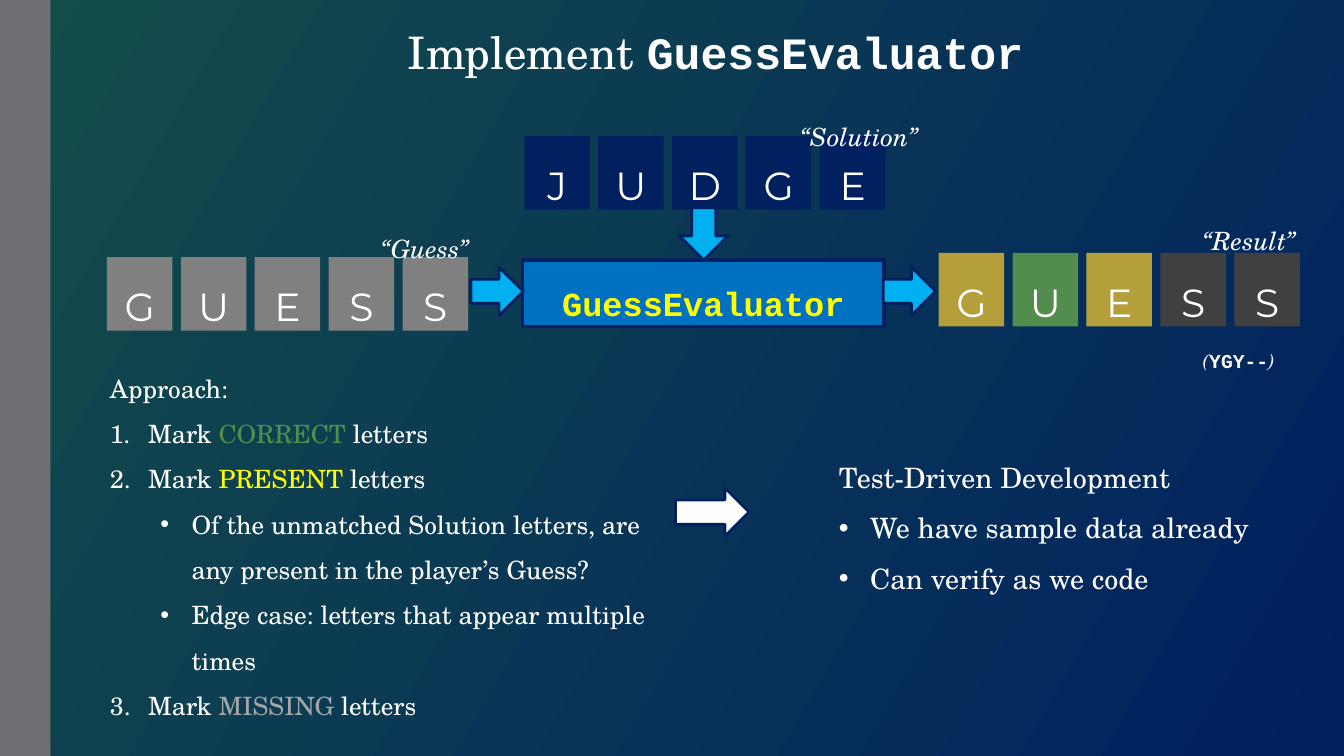
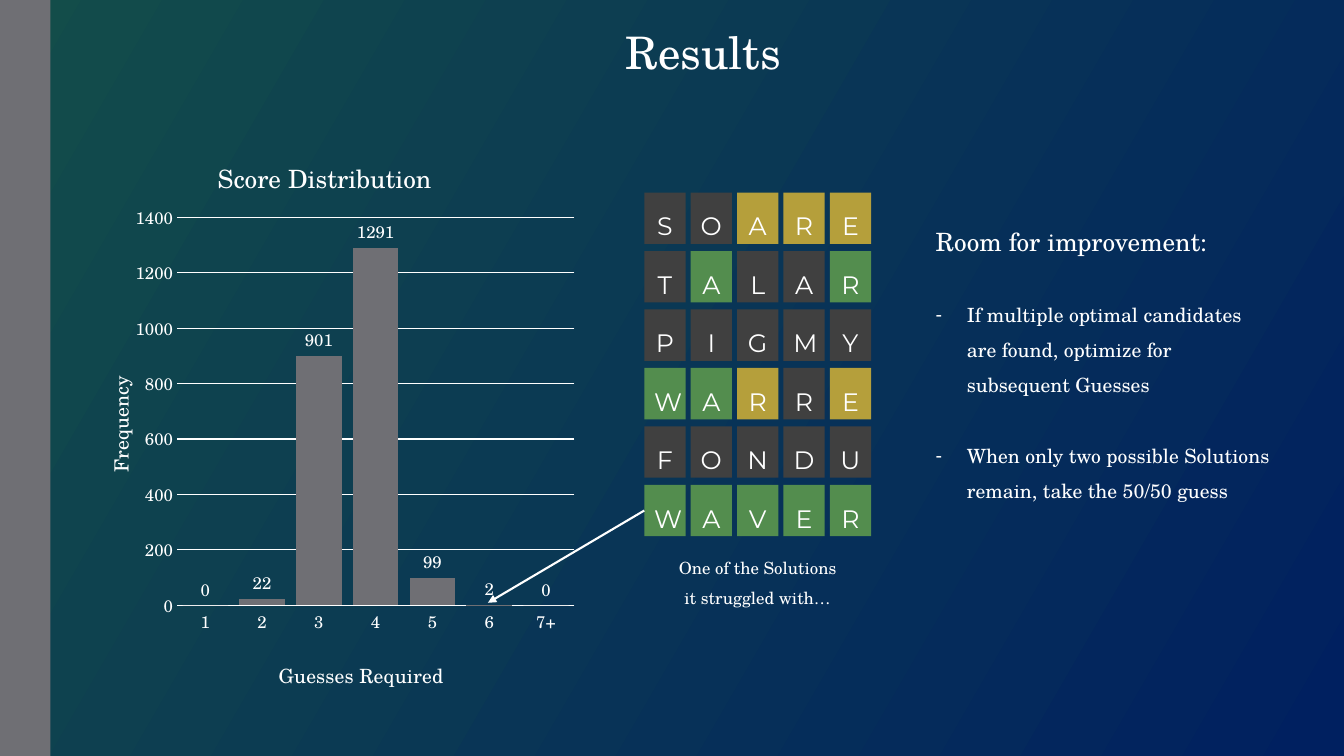
from lxml import etree
from pptx import Presentation
from pptx.chart.data import CategoryChartData
from pptx.dml.color import RGBColor
from pptx.enum.chart import XL_CHART_TYPE, XL_LABEL_POSITION, XL_TICK_MARK
from pptx.enum.shapes import MSO_CONNECTOR, MSO_SHAPE
from pptx.enum.text import MSO_ANCHOR, MSO_AUTO_SIZE, PP_ALIGN
from pptx.oxml import parse_xml
from pptx.oxml.ns import nsdecls, qn
from pptx.util import Inches, Pt

SERIF, MONO, TILE_FONT = "TeX Gyre Schola", "Courier New", "Montserrat"
WHITE, YELLOW, NAVY, TEAL, BAND = "FFFFFF", "FFFF00", "002060", "134D4A", "6F6F74"
GREEN, GOLD, DARK, GREY, SILVER = "538D4E", "B59F3B", "404040", "808080", "A6A6A6"
BLUE, SKY = "0070C0", "00B0F0"
MARKS = {"G": GREEN, "Y": GOLD, "-": DARK}


def rgb(value):
    return RGBColor.from_string(value)


def style_font(font, size=18, name=SERIF, color=WHITE, bold=False, italic=False):
    font.size, font.name, font.bold, font.italic = Pt(size), name, bold, italic
    font.color.rgb = rgb(color)


def set_bullet(p, bullet, left, hang):
    """Bullet is None, "1." for automatic numbers, or a character."""
    pPr = p._p.get_or_add_pPr()
    pPr.set("marL", str(Inches(left)))
    pPr.set("indent", str(-Inches(hang)))
    if bullet is None:
        etree.SubElement(pPr, qn("a:buNone"))
    elif bullet == "1.":
        etree.SubElement(pPr, qn("a:buAutoNum")).set("type", "arabicPeriod")
    else:
        etree.SubElement(pPr, qn("a:buFont")).set("typeface", "Arial")
        etree.SubElement(pPr, qn("a:buChar")).set("char", bullet)


def add_text(tf, *runs, align=PP_ALIGN.LEFT, spacing=1.5, before=0, level=0,
             bullet=None, left=0, hang=0, **font):
    """Add one paragraph; a run is a string or (string, font changes)."""
    p = tf.paragraphs[0]
    if p.runs:
        p = tf.add_paragraph()
    p.alignment, p.line_spacing, p.level = align, spacing, level
    p.space_before, p.space_after = Pt(before), Pt(0)
    set_bullet(p, bullet, left, hang)
    for run in runs:
        text, changes = (run, {}) if isinstance(run, str) else run
        r = p.add_run()
        r.text = text
        style_font(r.font, **{**font, **changes})


def place(sp, x, y, w, h):
    """Move a text shape and return its frame, ready for writing."""
    sp.left, sp.top, sp.width, sp.height = (Inches(v) for v in (x, y, w, h))
    tf = sp.text_frame
    tf.word_wrap, tf.auto_size = True, MSO_AUTO_SIZE.NONE
    tf.vertical_anchor = MSO_ANCHOR.TOP
    return tf


def add_label(s, x, y, w, h):
    return place(s.shapes.add_textbox(0, 0, 0, 0), x, y, w, h)


def add_box(shapes, x, y, w, h, fill, line=None, width=2, kind=MSO_SHAPE.RECTANGLE):
    sp = shapes.add_shape(kind, Inches(x), Inches(y), Inches(w), Inches(h))
    sp.shadow.inherit = False
    sp.fill.solid()
    sp.fill.fore_color.rgb = rgb(fill)
    if line:
        sp.line.color.rgb, sp.line.width = rgb(line), Pt(width)
    else:
        sp.line.fill.background()
    sp.text_frame.word_wrap = True
    sp.text_frame.vertical_anchor = MSO_ANCHOR.MIDDLE
    return sp


def add_arrow(s, x, y, w=0.52, fill=SKY, rotation=0):
    sp = add_box(s.shapes, x, y, w, 0.48, fill, NAVY, kind=MSO_SHAPE.RIGHT_ARROW)
    sp.rotation = rotation


def add_word(s, x, y, word, fills, w=0.65, h=0.73, pitch=0.733, size=28):
    """A grouped row of letter tiles; returns the tiles."""
    shapes = s.shapes.add_group_shape().shapes
    tiles = []
    for i, (letter, fill) in enumerate(zip(word, fills)):
        sp = add_box(shapes, x + i * pitch, y, w, h, fill)
        add_text(sp.text_frame, letter, align=PP_ALIGN.CENTER, size=size, name=TILE_FONT)
        tiles.append(sp)
    return tiles


def mark_fills(marks):
    return [MARKS[m] for m in marks]


def set_background(master):
    fill = master.background.fill
    fill.gradient()
    fill.gradient_angle = 150
    for stop, color in zip(fill.gradient_stops, (NAVY, TEAL)):
        stop.color.rgb = rgb(color)


def new_slide(prs, layout, x, w, *title):
    """Slide with the side band and a centred title."""
    s = prs.slides.add_slide(prs.slide_layouts[layout])
    add_box(s.shapes, 0, 0, 0.5, 7.5, BAND)
    tf = place(s.shapes.title, x, 0.19, w, 0.64)
    add_text(tf, *title, align=PP_ALIGN.CENTER, spacing=1, size=32)
    return s


# Evaluator slide
def add_flow(s, x, y):
    """Guess and solution enter the evaluator, the result leaves it."""
    add_word(s, x, y + 1.2, "GUESS", [GREY] * 5)
    add_word(s, x + 4.14, y, "JUDGE", [NAVY] * 5)
    add_word(s, x + 8.25, y + 1.16, "GUESS", mark_fills("YGY--"))
    sp = add_box(s.shapes, x + 4.12, y + 1.23, 3.59, 0.66, BLUE, NAVY, 2.5)
    add_text(sp.text_frame, "GuessEvaluator", align=PP_ALIGN.CENTER,
             size=24, name=MONO, color=YELLOW, bold=True)
    add_arrow(s, x + 3.61, y + 1.3)
    add_arrow(s, x + 5.66, y + 0.73, rotation=90)
    add_arrow(s, x + 7.7, y + 1.3)

    add_text(add_label(s, x + 6.78, y - 0.35, 1.42, 0.5), "“Solution”", italic=True)
    add_text(add_label(s, x + 2.62, y + 0.77, 1.42, 0.5), "“Guess”", italic=True)
    tf = add_label(s, x + 10.77, y + 0.69, 1.42, 2.07)
    add_text(tf, "“Result”", italic=True)
    add_text(tf, "(", ("YGY--", dict(name=MONO, bold=True, italic=False)), ")",
             before=58, size=14, italic=True)


def add_approach(sp, x, y):
    tf = place(sp, x, y, 5.75, 4)
    step = dict(bullet="1.", left=0.38, hang=0.38)
    detail = dict(bullet="•", left=0.81, hang=0.31, level=1)
    add_text(tf, "Approach:")
    add_text(tf, "Mark ", ("CORRECT", dict(color=GREEN)), " letters", **step)
    add_text(tf, "Mark ", ("PRESENT", dict(color=YELLOW)), " letters", **step)
    add_text(tf, "Of the unmatched Solution letters, are any present in the player’s Guess?",
             **detail)
    add_text(tf, "Edge case: letters that appear multiple times", **detail)
    add_text(tf, "Mark ", ("MISSING", dict(color=SILVER)), " letters", **step)


def add_bullets(sp, x, y, w, h, heading, items, bullet, heading_size, size, before=0):
    tf = place(sp, x, y, w, h)
    add_text(tf, heading, size=heading_size)
    for item in items:
        add_text(tf, item, size=size, before=before, bullet=bullet, left=0.31, hang=0.31)


def evaluator_slide(prs):
    s = new_slide(prs, 3, 2.78, 8.64, "Implement ",
                  ("GuessEvaluator", dict(name=MONO, bold=True)))
    add_flow(s, 1.06, 1.35)
    add_approach(s.placeholders[1], 0.99, 3.5)
    add_arrow(s, 6.7, 4.84, 0.73, WHITE)
    add_bullets(s.placeholders[2], 8.22, 4.35, 5.1, 1.62, "Test-Driven Development",
                ["We have sample data already", "Can verify as we code"], "•", 20, 20)


# Results slide
def manual_layout(x, y, w=None, h=None):
    """Chart layout in fractions of the chart; with a size for the plot area."""
    tags = [("xMode", "edge"), ("yMode", "edge"), ("x", x), ("y", y)]
    if w:
        tags = [("layoutTarget", "inner")] + tags + [("w", w), ("h", h)]
    body = "".join(f'<c:{tag} val="{value}"/>' for tag, value in tags)
    return parse_xml(f'<c:layout {nsdecls("c")}><c:manualLayout>{body}'
                     '</c:manualLayout></c:layout>')


def title_chart_part(part, text, size, x, y):
    part.has_title = True
    title = part.chart_title if hasattr(part, "chart_title") else part.axis_title
    p = title.text_frame.paragraphs[0]
    r = p.add_run()
    r.text = text
    style_font(r.font, size)
    element = title._element
    for old in element.findall(qn("c:layout")):
        element.remove(old)
    element.find(qn("c:tx")).addnext(manual_layout(x, y))


def add_score_chart(s, x, y, w, h):
    data = CategoryChartData()
    data.categories = ["1", "2", "3", "4", "5", "6", "7+"]
    data.add_series("Series 1", [0, 22, 901, 1291, 99, 2, 0])
    chart = s.shapes.add_chart(XL_CHART_TYPE.COLUMN_CLUSTERED, Inches(x), Inches(y),
                               Inches(w), Inches(h), data).chart
    chart.has_legend = False
    style_font(chart.font, 12)
    title_chart_part(chart, "Score Distribution", 18, 0.28, 0.05)

    plot = chart.plots[0]
    plot.gap_width, plot.overlap, plot.vary_by_categories = 25, -43, False
    fill = plot.series[0].format.fill
    fill.solid()
    fill.fore_color.rgb = rgb(BAND)
    plot.has_data_labels = True
    labels = plot.data_labels
    labels.show_value, labels.position = True, XL_LABEL_POSITION.OUTSIDE_END
    style_font(labels.font, 12)

    cats, vals = chart.category_axis, chart.value_axis
    title_chart_part(cats, "Guesses Required", 14, 0.4, 0.92)
    title_chart_part(vals, "Frequency", 14, 0.06, 0.43)
    for axis in (cats, vals):
        axis.major_tick_mark = axis.minor_tick_mark = XL_TICK_MARK.NONE
        style_font(axis.tick_labels.font, 12)
    vals.minimum_scale, vals.maximum_scale, vals.major_unit = 0, 1400, 200
    vals.format.line.fill.background()
    for line in (cats.format.line, vals.major_gridlines.format.line):
        line.color.rgb, line.width = rgb(WHITE), Pt(0.75)

    area = chart._chartSpace.chart.plotArea
    for old in area.findall(qn("c:layout")):
        area.remove(old)
    area.insert(0, manual_layout(0.21, 0.162, 0.77, 0.673))


def add_board(s, x, y):
    """Six guesses with a caption; returns the first tile of the last one."""
    guesses = [("SOARE", "--YYY"), ("TALAR", "-G--G"), ("PIGMY", "-----"),
               ("WARRE", "GGY-Y"), ("FONDU", "-----"), ("WAVER", "GGGGG")]
    for i, (word, marks) in enumerate(guesses):
        tiles = add_word(s, x, y + i * 0.58, word, mark_fills(marks),
                         w=0.41, h=0.51, pitch=0.46, size=18)
    add_text(add_label(s, x + 0.2, y + 3.47, 1.85, 0.71),
             "One of the Solutions it struggled with…", align=PP_ALIGN.CENTER, size=12)
    return tiles[0]


def add_pointer(s, tile, x, y):
    line = s.shapes.add_connector(MSO_CONNECTOR.STRAIGHT, 0, 0, Inches(x), Inches(y))
    line.begin_connect(tile, 1)
    line.line.color.rgb, line.line.width = rgb(WHITE), Pt(1.5)
    etree.SubElement(line.line._get_or_add_ln(), qn("a:tailEnd")).set("type", "triangle")
    etree.SubElement(line._element.spPr, qn("a:effectLst"))


def results_slide(prs):
    s = new_slide(prs, 1, 4.23, 5.49, "Results")
    add_score_chart(s, 0.68, 1.23, 5.12, 5.72)
    tile = add_board(s, 6.39, 1.91)
    add_pointer(s, tile, 4.84, 5.98)
    add_bullets(s.placeholders[1], 9.18, 2.04, 3.53, 3.03, "Room for improvement:",
                ["If multiple optimal candidates are found, optimize for subsequent Guesses",
                 "When only two possible Solutions remain, take the 50/50 guess"],
                "-", 18, 14, before=25)


def main():
    prs = Presentation()
    prs.slide_width, prs.slide_height = Inches(13.33), Inches(7.5)
    set_background(prs.slide_master)
    evaluator_slide(prs)
    results_slide(prs)
    prs.save("out.pptx")


if __name__ == "__main__":
    main()
